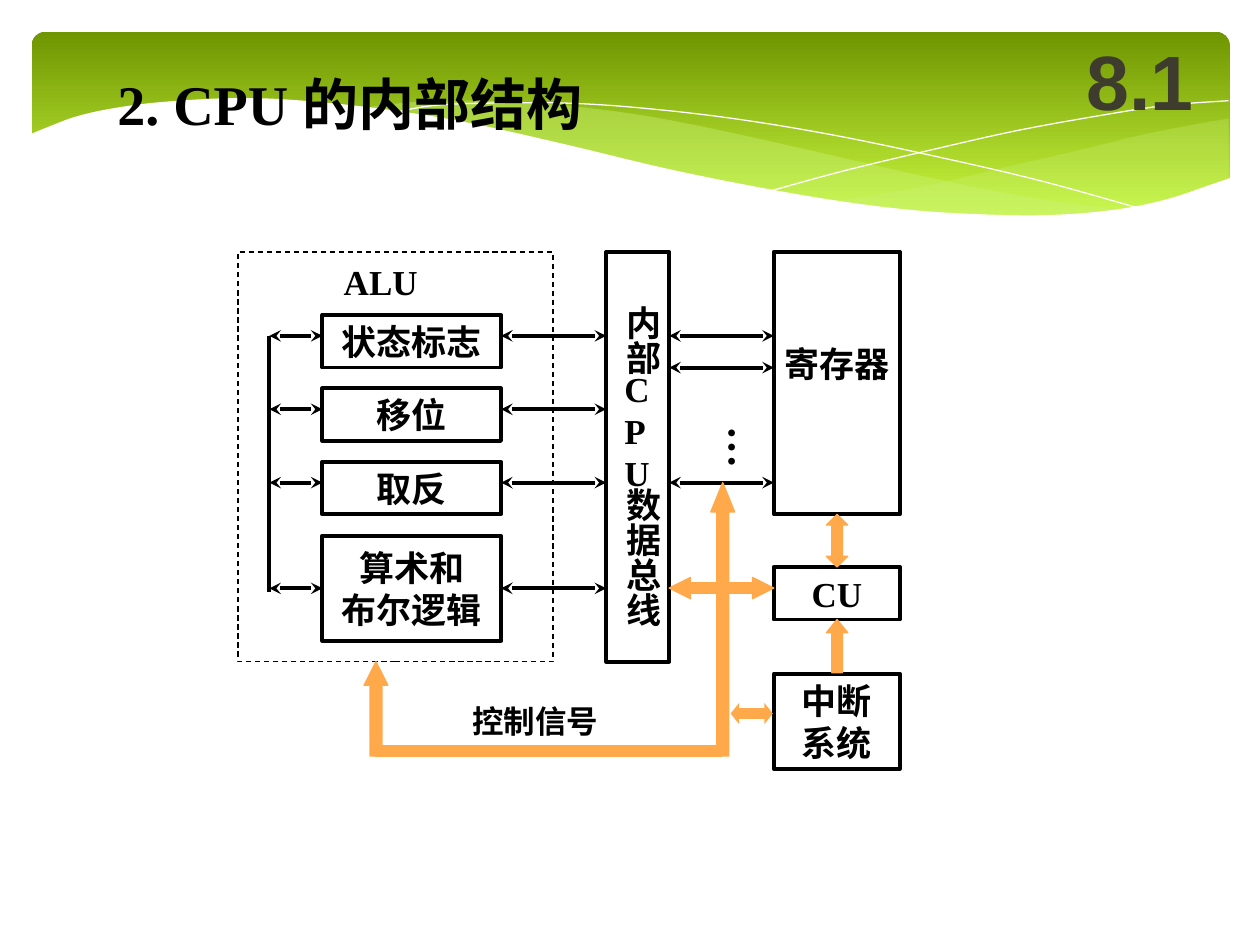
from dataclasses import dataclass
from typing import NamedTuple

from lxml import etree
from pptx import Presentation, util as u
from pptx.dml.color import RGBColor
from pptx.enum import dml, shapes, text
from pptx.oxml.ns import qn


@dataclass(frozen=True)
class Theme:
    black: RGBColor = RGBColor(0x00, 0x00, 0x00)
    white: RGBColor = RGBColor(0xFF, 0xFF, 0xFF)
    signal: RGBColor = RGBColor(0xFF, 0xA9, 0x4A)
    section: RGBColor = RGBColor(0x3E, 0x3D, 0x2D)
    banner_dark: RGBColor = RGBColor(0x6F, 0x95, 0x00)
    banner_light: RGBColor = RGBColor(0xD0, 0xFF, 0x44)
    swell: RGBColor = RGBColor(0xCA, 0xF2, 0x78)
    serif: str = "Times New Roman"
    sans: str = "Arial"
    title: int = 32
    number: int = 44
    dots: int = 24
    body: int = 20
    caption: int = 18
    stroke: float = 2.25
    thin: float = 0.75


THEME = Theme()
KIND = shapes.MSO_SHAPE
TOP, MIDDLE = text.MSO_ANCHOR.TOP, text.MSO_ANCHOR.MIDDLE
UNITS_PER_CM = 1000  # freeform points are rounded to whole units


class Box(NamedTuple):
    """Left, top, width and height in centimetres."""
    left: float
    top: float
    width: float
    height: float

    @property
    def right(self) -> float:
        return self.left + self.width

    def lengths(self) -> list:
        return [u.Cm(value) for value in self]


class Label(NamedTuple):
    words: str
    box: Box
    size: int = THEME.body
    vertical: bool = False


class Arrow(NamedTuple):
    kind: shapes.MSO_SHAPE
    box: Box
    adjustments: tuple = ()
    outlined: bool = True


# Each edge lists the points, in centimetres, that a smooth curve passes through.
WHITE_EDGE = [(.58, 2.72), (1.02, 2.54), (1.5, 2.36), (2.13, 2.21), (3.02, 2.08), (4.09, 2), (4.9, 1.98),
              (5.84, 2.01), (7.42, 2.16), (9.27, 2.44), (11.35, 2.9), (13.44, 3.4), (15.32, 3.78),
              (16.97, 4.06), (18.44, 4.24), (19.76, 4.32), (20.93, 4.34), (21.92, 4.29), (22.84, 4.17),
              (23.62, 3.99), (24.3, 3.76), (24.82, 3.58)]
RIGHT_TOP = [(24.77, 2.39), (24.08, 2.51), (23.01, 2.72), (21.87, 3), (20.45, 3.33), (18.52, 3.78),
             (16.79, 4.06)]
RIGHT_BOTTOM = [(16.79, 4.06), (18.24, 4.24), (19.53, 4.34), (20.68, 4.37), (21.69, 4.33), (22.58, 4.22),
                (23.39, 4.06), (24.1, 3.86), (24.77, 3.58)]
LONG_TOP = [(7.26, 2.18), (8.33, 2.06), (9.65, 2.03), (11.2, 2.11), (12.73, 2.29), (14.1, 2.54),
            (15.98, 2.95), (17.93, 3.4), (19.69, 3.78), (21.26, 4.06), (22.68, 4.24)]
LONG_BOTTOM = [(22.68, 4.24), (21.79, 4.34), (20.78, 4.39), (19.63, 4.37), (18.34, 4.27), (16.89, 4.09),
               (15.27, 3.81), (13.46, 3.43), (11.4, 2.94), (9.73, 2.57), (8.2, 2.29), (7.26, 2.18)]
FALLING_LINE = [(7.85, 2.29), (8.71, 2.13), (9.83, 2.08), (11.43, 2.08), (12.95, 2.18), (14.78, 2.39),
                (16.89, 2.74), (19.3, 3.25), (21.11, 3.68), (23.04, 4.22)]
RISING_LINE = [(15.57, 3.84), (17.07, 3.43), (19, 2.97), (20.47, 2.64), (22, 2.36), (23.47, 2.13),
               (24.77, 2.03)]

UNIT_TOP, UNIT_PITCH, WIRE_OFFSET = 6.35, 1.48, 0.42
UNITS = [(words, Box(6.5, UNIT_TOP + row * UNIT_PITCH, 3.6, 1.06))
         for row, words in enumerate(["状态标志", "移位", "取反"])]
ARITHMETIC = Box(6.5, 10.8, 3.6, 2.12)
ALU = Box(4.8, 5.08, 6.35, 8.26)
BUS = Box(12.22, 5.08, 1.27, 8.26)
REGISTERS = Box(15.6, 5.08, 2.54, 5.29)
RAIL = 5.43
WIRES = [box.top + WIRE_OFFSET for _, box in UNITS]
ARITHMETIC_WIRE = ARITHMETIC.top + ARITHMETIC.height / 2

LABELS = [
    Label("内部", Box(12.17, 5.92, 1.35, 2.6), vertical=True),
    Label("数据总线", Box(12.17, 9.58, 1.35, 3.7), vertical=True),
    Label("C\nP\nU", Box(12.34, 7.29, 1.02, 2.79)),
    Label("ALU", Box(6.68, 5.13, 2, 1.12)),
    Label("控制信号", Box(9.27, 14.02, 3.05, 1.02), THEME.caption),
    Label("…", Box(14.15, 8.34, 1.52, 1.9), THEME.dots, vertical=True),
]
ARROWS = [
    Arrow(KIND.LEFT_RIGHT_ARROW, Box(BUS.right, 11.64, 2.11, 0.43), (0.5, 1)),
    Arrow(KIND.UP_ARROW, Box(16.66, 12.49, 0.43, 1.07), (0.5, 0.62)),
    Arrow(KIND.UP_ARROW, Box(14.33, 9.73, 0.48, 5.51), (0.5, 1.23)),
    Arrow(KIND.UP_ARROW, Box(7.34, 13.34, 0.48, 1.9), (0.5, 0.99)),
    Arrow(KIND.RECTANGLE, Box(7.57, 15.04, 6.98, 0.2)),
    Arrow(KIND.LEFT_RIGHT_ARROW, Box(14.73, 14.17, 0.85, 0.43), (0.5, 0.4), outlined=False),
    Arrow(KIND.UP_DOWN_ARROW, Box(16.66, 10.37, 0.43, 1.06), (0.5, 0.5)),
]


def smooth(points: list, steps: int = 5) -> list:
    """Interpolate a Catmull-Rom curve through the points."""
    padded = [points[0], *points, points[-1]]
    curve = [points[0]]
    for a, b, c, d in zip(padded, padded[1:], padded[2:], padded[3:]):
        for step in range(1, steps + 1):
            t = step / steps
            curve.append(tuple(
                (2 * q + (r - p) * t + (2 * p - 5 * q + 4 * r - s) * t ** 2
                 + (3 * q - p - 3 * r + s) * t ** 3) / 2
                for p, q, r, s in zip(a, b, c, d)))
    return curve


def add_wave(slide, points: list, fill: RGBColor | None = None, alpha: int = 100) -> None:
    """Draw a filled outline, or an open white hairline when there is no fill."""
    scaled = [(x * UNITS_PER_CM, y * UNITS_PER_CM) for x, y in points]
    builder = slide.shapes.build_freeform(*scaled[0], scale=u.Cm(1) / UNITS_PER_CM)
    builder.add_line_segments(scaled[1:], close=fill is not None)
    shape = builder.convert_to_shape()
    shape.shadow.inherit = False
    if fill is None:
        shape.fill.background()
        shape.line.color.rgb = THEME.white
        shape.line.width = u.Pt(0)
        return
    shape.fill.solid()
    shape.fill.fore_color.rgb = fill
    shape.line.fill.background()
    if alpha < 100:
        color = shape.element.xpath("./p:spPr/a:solidFill/a:srgbClr")[0]
        etree.SubElement(color, qn("a:alpha"), val=str(alpha * 1000))


def add_banner(slide) -> None:
    banner = slide.shapes.add_shape(KIND.ROUNDED_RECTANGLE, *Box(0.64, 0.64, 24.15, 3.96).lengths())
    banner.adjustments[0] = 0.07
    banner.shadow.inherit = False
    banner.line.fill.background()
    banner.fill.gradient()
    banner.fill.gradient_angle = 270
    for stop, color, position in zip(banner.fill.gradient_stops, (THEME.banner_dark, THEME.banner_light), (0, 1)):
        stop.color.rgb = color
        stop.position = position
    add_wave(slide, smooth(RIGHT_TOP) + smooth(RIGHT_BOTTOM), THEME.swell, 29)
    add_wave(slide, smooth(LONG_TOP) + smooth(LONG_BOTTOM), THEME.swell, 40)
    add_wave(slide, smooth(FALLING_LINE))
    add_wave(slide, smooth(RISING_LINE))
    add_wave(slide, smooth(WHITE_EDGE) + [(24.82, 5.69), (0.58, 5.69)], THEME.white)


def write(shape, words: str, size: int, align=text.PP_ALIGN.LEFT, anchor=TOP,
          color: RGBColor = THEME.black, font: str = THEME.serif) -> None:
    frame = shape.text_frame
    frame.text = words
    frame.word_wrap = True
    frame.vertical_anchor = anchor
    for paragraph in frame.paragraphs:
        paragraph.alignment = align
        paragraph.font.name, paragraph.font.size, paragraph.font.bold = font, u.Pt(size), True
        paragraph.font.color.rgb = color


def set_margins(shape, side: float, top: float) -> None:
    frame = shape.text_frame
    frame.margin_left = frame.margin_right = u.Cm(side)
    frame.margin_top = frame.margin_bottom = u.Cm(top)


def add_block(slide, box: Box, words: str = "", width: float = THEME.stroke):
    shape = slide.shapes.add_shape(KIND.RECTANGLE, *box.lengths())
    shape.shadow.inherit = False
    shape.fill.background()
    shape.line.color.rgb = THEME.black
    shape.line.width = u.Pt(width)
    if words:
        set_margins(shape, 0, 0)
        write(shape, words, THEME.body, text.PP_ALIGN.CENTER, MIDDLE)
    return shape


def add_label(slide, label: Label) -> None:
    shape = slide.shapes.add_textbox(*label.box.lengths())
    write(shape, label.words, label.size)
    if label.vertical:
        shape.element.xpath(".//a:bodyPr")[0].set("vert", "eaVert")
        set_margins(shape, 0.13, 0.25)


def add_wire(slide, start: tuple, end: tuple, heads: bool = True):
    wire = slide.shapes.add_connector(shapes.MSO_CONNECTOR.STRAIGHT, *(u.Cm(v) for v in (*start, *end)))
    wire.line.color.rgb = THEME.black
    wire.line.width = u.Pt(THEME.stroke)
    if heads:
        line = wire.element.xpath(".//a:ln")[0]
        for tag in ("a:headEnd", "a:tailEnd"):
            etree.SubElement(line, qn(tag), type="stealth")
    etree.SubElement(wire.element.spPr, qn("a:effectLst"))
    return wire


def add_arrow(slide, arrow: Arrow) -> None:
    shape = slide.shapes.add_shape(arrow.kind, *arrow.box.lengths())
    for index, value in enumerate(arrow.adjustments):
        shape.adjustments[index] = value
    shape.shadow.inherit = False
    shape.fill.solid()
    shape.fill.fore_color.rgb = THEME.signal
    if arrow.outlined:
        shape.line.color.rgb = THEME.signal
        shape.line.width = u.Pt(THEME.thin)
    else:
        shape.line.fill.background()


def add_diagram(slide) -> None:
    for words, box in UNITS:
        add_block(slide, box, words)
    arithmetic = add_block(slide, ARITHMETIC, "算术和\n布尔逻辑")
    add_block(slide, BUS)
    registers = add_block(slide, REGISTERS, "寄存器")
    registers.text_frame.vertical_anchor = TOP
    registers.text_frame.margin_top = u.Cm(1.83)
    add_block(slide, Box(REGISTERS.left, 11.43, REGISTERS.width, 1.06), "CU")
    add_block(slide, Box(REGISTERS.left, 13.58, REGISTERS.width, 1.92), "中断\n系统")
    for y in [*WIRES, ARITHMETIC_WIRE]:
        to_bus = add_wire(slide, (ARITHMETIC.right, y), (BUS.left, y))
        to_rail = add_wire(slide, (RAIL, y), (ARITHMETIC.left, y))
    to_bus.begin_connect(arithmetic, 3)
    to_rail.end_connect(arithmetic, 1)
    for y in (WIRES[0], 7.41, WIRES[-1]):
        add_wire(slide, (BUS.right, y), (REGISTERS.left, y))
    add_wire(slide, (RAIL, WIRES[0]), (RAIL, 11.94), heads=False)
    add_block(slide, ALU, width=THEME.thin).line.dash_style = dml.MSO_LINE.DASH
    for arrow in ARROWS:
        add_arrow(slide, arrow)
    for label in LABELS:
        add_label(slide, label)


def main() -> None:
    presentation = Presentation()
    presentation.slide_width, presentation.slide_height = u.Cm(25.4), u.Cm(19.05)
    slide = presentation.slides.add_slide(presentation.slide_layouts[5])
    add_banner(slide)
    title = slide.shapes.title
    slide.shapes.element.append(title.element)  # bring the title in front of the banner
    title.left, title.top, title.width, title.height = Box(2.11, 1.27, 12.9, 1.63).lengths()
    write(title, "2. CPU 的内部结构", THEME.title)
    add_diagram(slide)
    number = slide.shapes.add_textbox(*Box(21.39, 0.43, 3.18, 2.34).lengths())
    write(number, "8.1", THEME.number, text.PP_ALIGN.CENTER, MIDDLE, THEME.section, THEME.sans)
    presentation.save("out.pptx")


if __name__ == "__main__":
    main()
